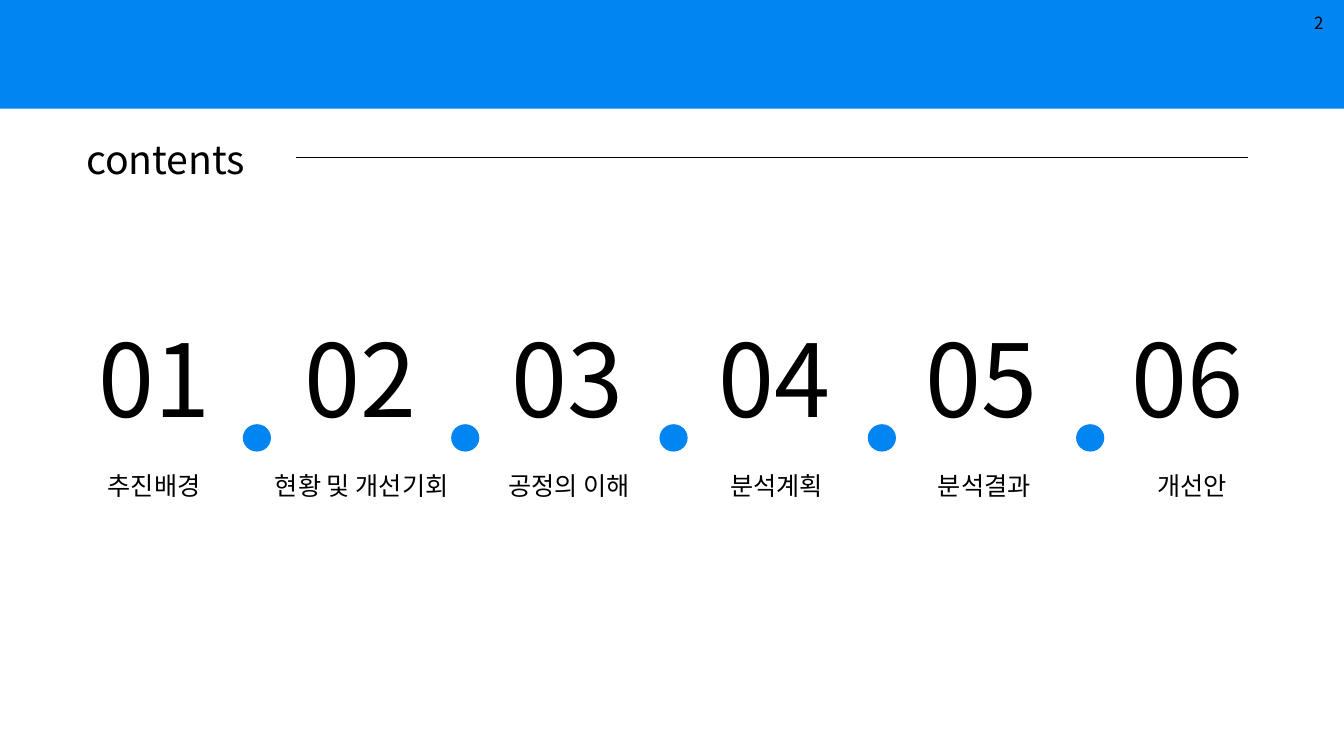
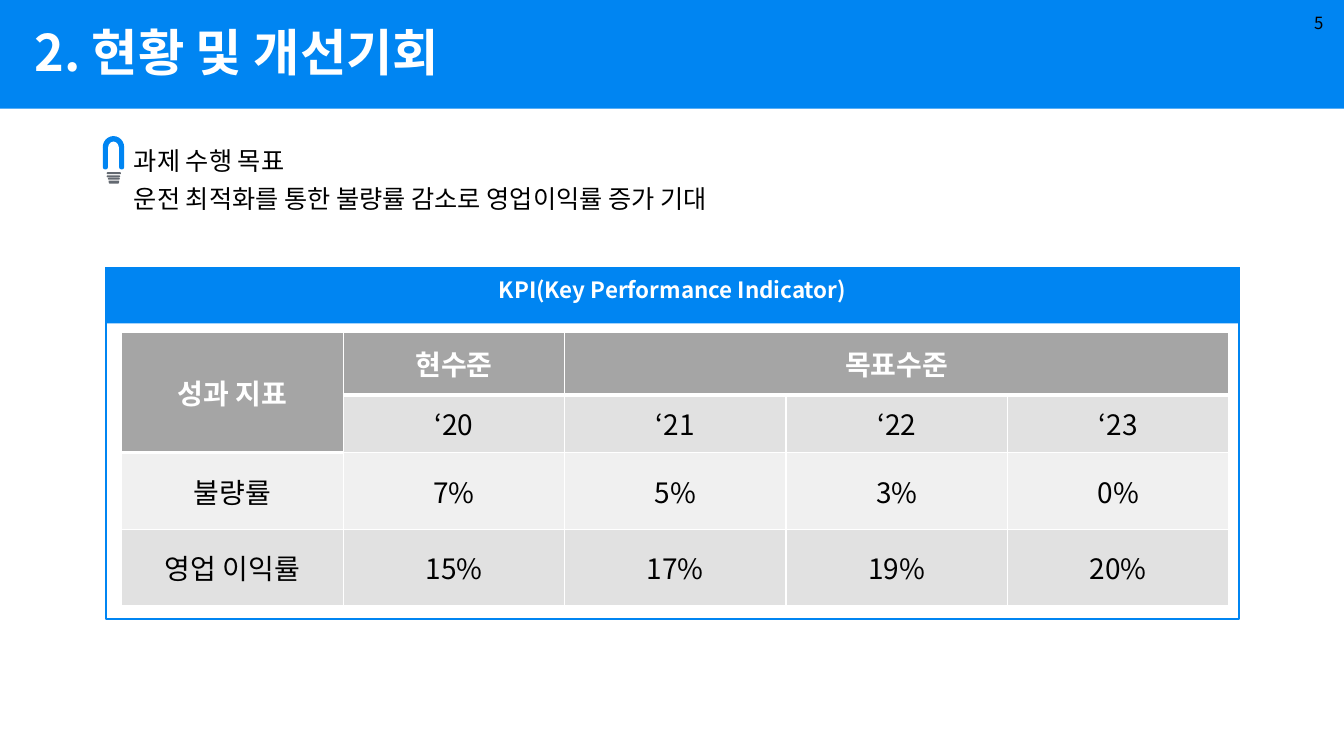
from dataclasses import dataclass
from lxml.etree import SubElement
from pptx import Presentation
from pptx.dml.color import RGBColor
from pptx.enum.shapes import MSO_CONNECTOR, MSO_SHAPE
from pptx.enum.text import MSO_ANCHOR, MSO_AUTO_SIZE, PP_ALIGN
from pptx.oxml import parse_xml
from pptx.oxml.ns import nsdecls, qn
from pptx.util import Cm, Pt

FONT = "Noto Sans CJK KR"
BLUE = "0085F2"
BLACK = "000000"
WHITE = "FFFFFF"
HEAD = "A5A5A5"
SLATE = "222A35"
ROW_FILLS = [HEAD, "E1E1E1", "F0F0F0", "E1E1E1"]
ROW_HEIGHTS = [1.57, 1.45, 1.94, 1.93]
COL_WIDTH = 5.58
TOPICS = ["추진배경", "현황 및 개선기회", "공정의 이해", "분석계획", "분석결과", "개선안"]
GOALS = ["과제 수행 목표", "운전 최적화를 통한 불량률 감소로 영업이익률 증가 기대"]
KPI = [
    ["성과 지표", "현수준", "목표수준", "", ""],
    ["", "‘20", "‘21", "‘22", "‘23"],
    ["불량률", "7%", "5%", "3%", "0%"],
    ["영업 이익률", "15%", "17%", "19%", "20%"],
]


@dataclass
class Box:
    x: float
    y: float
    w: float
    h: float

    def lengths(self) -> tuple:
        return Cm(self.x), Cm(self.y), Cm(self.w), Cm(self.h)


@dataclass
class Part:
    kind: MSO_SHAPE
    box: Box
    color: str = BLUE
    adj: tuple = ()
    rot: int = 0
    alpha: int = 100


BULB = [
    Part(MSO_SHAPE.ROUNDED_RECTANGLE, Box(2.69, 4.34, 0.36, 0.05), SLATE, (0.5,), 0, 70),
    Part(MSO_SHAPE.ROUNDED_RECTANGLE, Box(2.69, 4.42, 0.34, 0.05), SLATE, (0.5,), 0, 70),
    Part(MSO_SHAPE.ROUNDED_RECTANGLE, Box(2.72, 4.48, 0.3, 0.05), SLATE, (0.5,), 0, 70),
    Part(MSO_SHAPE.ROUND_2_SAME_RECTANGLE, Box(2.74, 4.55, 0.26, 0.08), SLATE, (0.5, 0), 180, 70),
    Part(MSO_SHAPE.BLOCK_ARC, Box(2.59, 3.43, 0.54, 0.56)),
    Part(MSO_SHAPE.ROUND_2_SAME_RECTANGLE, Box(2.59, 3.71, 0.13, 0.56), adj=(0.5, 0), rot=180),
    Part(MSO_SHAPE.ROUND_2_SAME_RECTANGLE, Box(3, 3.71, 0.13, 0.56), adj=(0.5, 0), rot=180),
]


def rgb(color: str) -> RGBColor:
    return RGBColor.from_string(color)


def write(p, text: str, size: float = 18, color: str = BLACK, bold: bool = False,
          align: PP_ALIGN = PP_ALIGN.CENTER) -> None:
    p.alignment = align
    r = p.add_run()
    r.text = text
    r.font.name = FONT
    r.font.size = Pt(size)
    r.font.bold = bold
    r.font.color.rgb = rgb(color)
    SubElement(r._r.get_or_add_rPr(), qn("a:ea")).set("typeface", FONT)


def add_text(s, box: Box, text: str, **fmt) -> None:
    tf = s.shapes.add_textbox(*box.lengths()).text_frame
    tf.word_wrap = True
    write(tf.paragraphs[0], text, **fmt)


def add_part(shapes, part: Part):
    sp = shapes.add_shape(part.kind, *part.box.lengths())
    sp.shadow.inherit = False
    sp.fill.solid()
    sp.fill.fore_color.rgb = rgb(part.color)
    sp.line.fill.background()
    sp.rotation = part.rot
    for i, value in enumerate(part.adj):
        sp.adjustments[i] = value
    if part.alpha < 100:
        clr = sp.element.find(".//" + qn("a:srgbClr"))
        SubElement(clr, qn("a:alpha")).set("val", str(part.alpha * 1000))
    return sp


def place(sp, box: Box, anchor: MSO_ANCHOR = MSO_ANCHOR.TOP):
    sp.left, sp.top, sp.width, sp.height = box.lengths()
    tf = sp.text_frame
    tf.word_wrap = True
    tf.auto_size = MSO_AUTO_SIZE.NONE
    tf.vertical_anchor = anchor
    return tf


def add_slide(prs, layout: int, number: int):
    s = prs.slides.add_slide(prs.slide_layouts[layout])
    band = add_part(s.shapes, Part(MSO_SHAPE.RECTANGLE, Box(0, 0, 33.87, 2.74)))
    s.shapes.element.insert(2, band.element)
    add_text(s, Box(25.98, 0.2, 7.62, 1.02), str(number), size=12, align=PP_ALIGN.RIGHT)
    return s


def set_borders(cell, top: int, bottom: int) -> None:
    tcPr = cell._tc.get_or_add_tcPr()
    sides = {"lnL": 1, "lnR": 1, "lnT": top, "lnB": bottom}
    for i, (side, width) in enumerate(sides.items()):
        tcPr.insert(i, parse_xml(
            f'<a:{side} {nsdecls("a")} w="{Pt(width)}"><a:solidFill>'
            f'<a:srgbClr val="{WHITE}"/></a:solidFill></a:{side}>'))


def is_head(row: int, col: int) -> bool:
    return row == 0 or (row == 1 and col == 0)


def add_kpi_table(s) -> None:
    box = Box(3.07, 8.38, COL_WIDTH * 5, sum(ROW_HEIGHTS))
    table = s.shapes.add_table(len(KPI), len(KPI[0]), *box.lengths()).table
    for col in table.columns:
        col.width = Cm(COL_WIDTH)
    for row, height in zip(table.rows, ROW_HEIGHTS):
        row.height = Cm(height)
    for i, texts in enumerate(KPI):
        for j, text in enumerate(texts):
            cell = table.cell(i, j)
            head = is_head(i, j)
            cell.fill.solid()
            cell.fill.fore_color.rgb = rgb(HEAD if head else ROW_FILLS[i])
            cell.vertical_anchor = MSO_ANCHOR.MIDDLE
            set_borders(cell, 3 if i and is_head(i - 1, j) else 1, 3 if head else 1)
            if text:
                write(cell.text_frame.paragraphs[0], text, size=20,
                      color=WHITE if head else BLACK, bold=head)
    table.cell(0, 0).merge(table.cell(1, 0))
    table.cell(0, 2).merge(table.cell(0, 4))


def build_contents(prs) -> None:
    s = add_slide(prs, 5, 2)
    tf = place(s.shapes.title, Box(1.9, 3.28, 4.55, 1.45))
    write(tf.paragraphs[0], "contents", size=28)
    rule = s.shapes.add_connector(MSO_CONNECTOR.STRAIGHT, Cm(7.47), Cm(3.96), Cm(31.45), Cm(3.96))
    rule.line.color.rgb = rgb(BLACK)
    rule.line.width = Pt(0.5)
    SubElement(rule.element.spPr, qn("a:effectLst"))
    for i, topic in enumerate(TOPICS):
        add_text(s, Box(1.98 + 5.21 * i, 7.85, 3.81, 3.33), f"{i + 1:02}", size=72)
        add_text(s, Box(1.27 + 5.23 * i, 11.72, 5.23, 1.02), topic)
        if i:
            dot = Box(6.12 + 5.25 * (i - 1), 10.69, 0.71, 0.69)
            add_part(s.shapes, Part(MSO_SHAPE.OVAL, dot))


def build_kpi(prs) -> None:
    s = add_slide(prs, 1, 5)
    tf = place(s.shapes.title, Box(0.61, 0.15, 11.56, 2.46), MSO_ANCHOR.MIDDLE)
    p = tf.paragraphs[0]
    p.line_spacing = 0.9
    write(p, "2. 현황 및 개선기회", size=36, color=WHITE, bold=True, align=PP_ALIGN.LEFT)

    tf = place(s.placeholders[1], Box(3.12, 3.53, 29.3, 2.2))
    for i, goal in enumerate(GOALS):
        p = tf.add_paragraph() if i else tf.paragraphs[0]
        pPr = p._p.get_or_add_pPr()
        pPr.set("marL", "0")
        pPr.set("indent", "0")
        SubElement(pPr, qn("a:buNone"))
        p.space_before = Pt(6 if i else 0)
        write(p, goal, align=PP_ALIGN.LEFT)

    add_kpi_table(s)
    header = add_part(s.shapes, Part(MSO_SHAPE.RECTANGLE, Box(2.65, 6.73, 28.6, 1.42)))
    tf = header.text_frame
    tf.vertical_anchor = MSO_ANCHOR.TOP
    tf.margin_top = Cm(0.23)
    write(tf.paragraphs[0], "KPI(Key Performance Indicator)", size=16, color=WHITE, bold=True)
    frame = add_part(s.shapes, Part(MSO_SHAPE.RECTANGLE, Box(2.67, 6.78, 28.55, 8.81)))
    frame.fill.background()
    frame.line.color.rgb = rgb(BLUE)
    frame.line.width = Pt(1.5)
    bulb = s.shapes.add_group_shape()
    for part in BULB:
        add_part(bulb.shapes, part)


def main() -> None:
    prs = Presentation()
    prs.slide_width, prs.slide_height = Cm(33.87), Cm(19.05)
    build_contents(prs)
    build_kpi(prs)
    prs.save("out.pptx")


if __name__ == "__main__":
    main()
